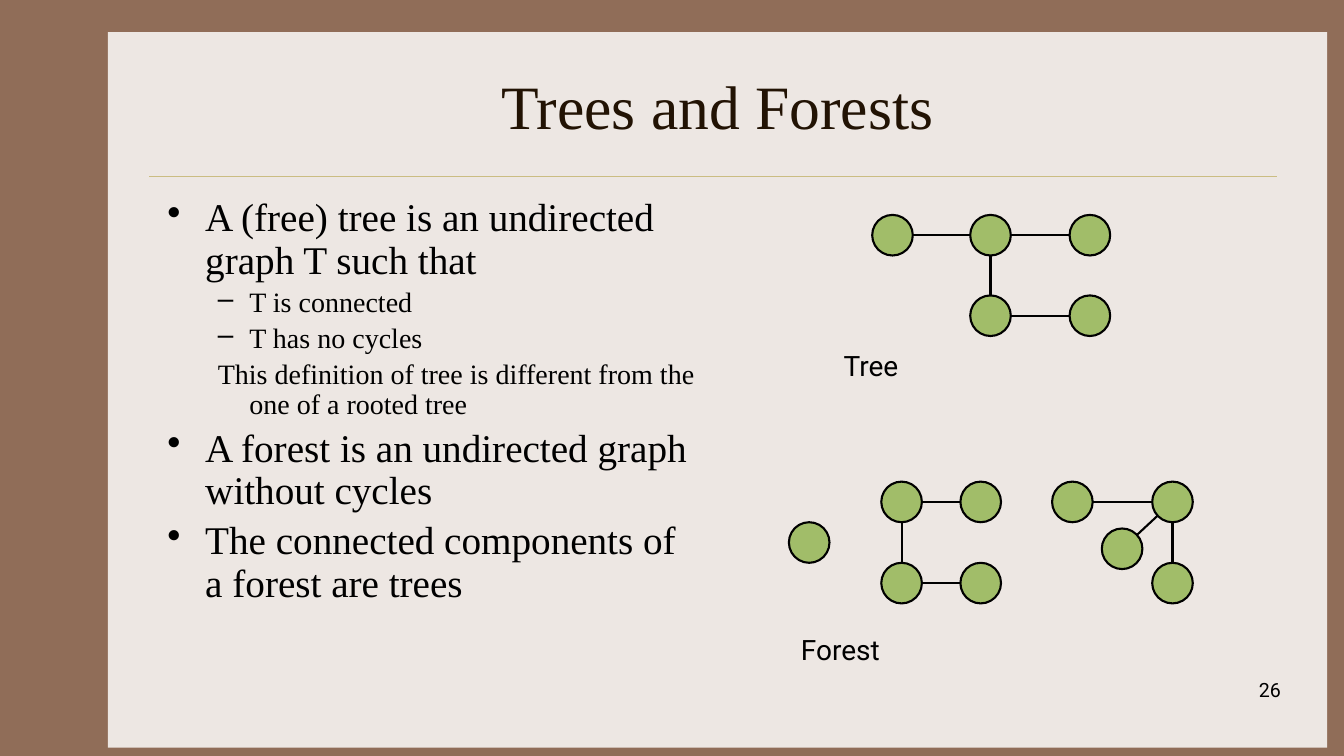
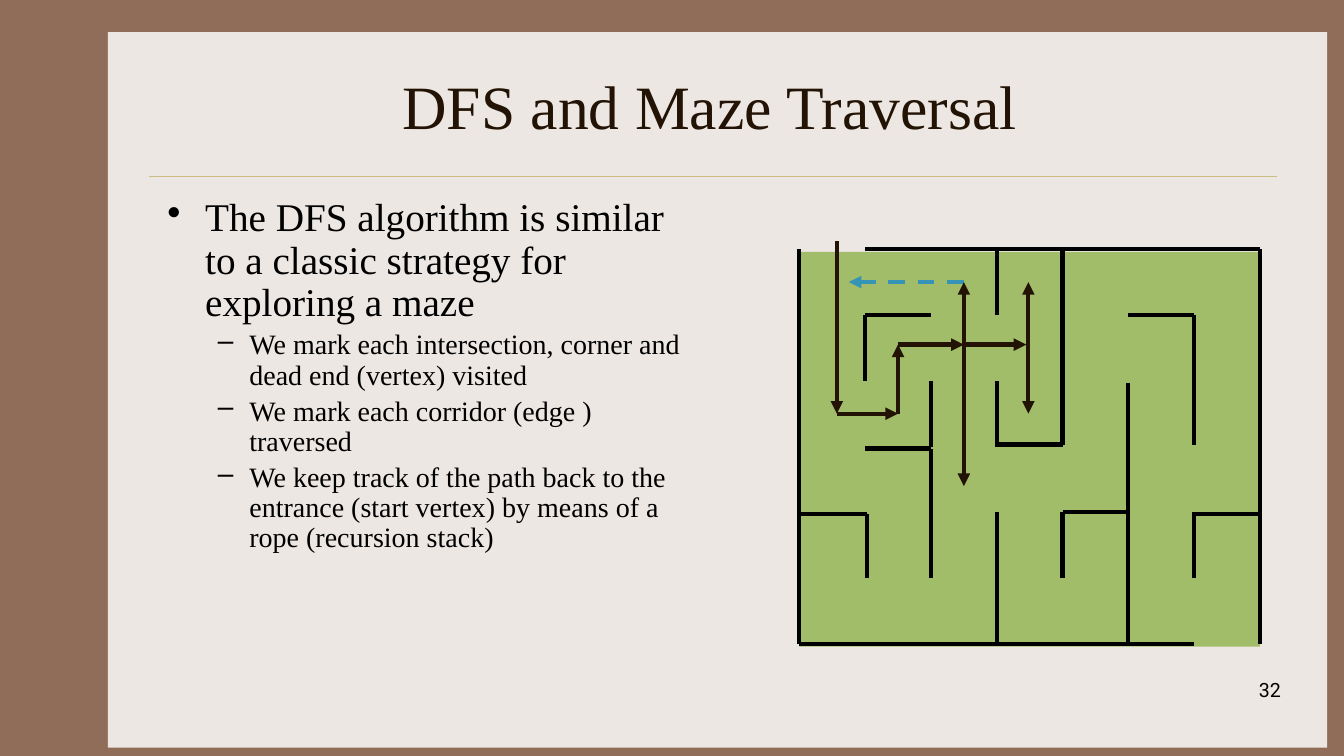
from math import hypot

from lxml.etree import SubElement
from pptx import Presentation
from pptx.dml.color import RGBColor
from pptx.enum.dml import MSO_LINE
from pptx.enum.shapes import MSO_CONNECTOR, MSO_SHAPE
from pptx.enum.text import MSO_ANCHOR, PP_ALIGN
from pptx.oxml.ns import qn
from pptx.util import Pt

BROWN = RGBColor(0x90, 0x6D, 0x58)
PAPER = RGBColor(0xED, 0xE7, 0xE3)
GOLD = RGBColor(0xCB, 0xBD, 0x83)
DARK = RGBColor(0x22, 0x13, 0x04)
GREEN = RGBColor(0xA1, 0xBD, 0x69)
BLUE = RGBColor(0x36, 0x94, 0xB6)
BLACK = RGBColor(0, 0, 0)
SERIF, SANS = "Times New Roman", "Roboto"

# Body text: (style, text)
TREE_TEXT = [
    ("point", "A (free) tree is an undirected graph T such that"),
    ("detail", "T is connected"),
    ("detail", "T has no cycles"),
    ("remark", "This definition of tree is different from the one of a rooted tree"),
    ("point", "A forest is an undirected graph without cycles"),
    ("point", "The connected components of a forest are trees"),
]
MAZE_TEXT = [
    ("point", "The DFS algorithm is similar to a classic strategy for exploring a maze"),
    ("detail", "We mark each intersection, corner and dead end (vertex) visited"),
    ("detail", "We mark each corridor (edge ) traversed"),
    ("detail", "We keep track of the path back to the entrance (start vertex) "
               "by means of a rope (recursion stack)"),
]
# Style: bullet, size, left margin, hanging indent
STYLES = {
    "point": ("•", 28, 27, 27),
    "detail": ("–", 20, 58.5, 22.5),
    "remark": (None, 20, 58.5, 22.5),
}

# Graphs: node centres in points, edges as pairs of node names
GRAPHS = [
    ({"a": (637.5, 168), "b": (707.5, 168), "c": (778.5, 168),
      "d": (707.5, 225.5), "e": (778.5, 225.5)}, ["ab", "bc", "bd", "de"]),
    ({"a": (578, 387.5)}, []),
    ({"a": (644, 358.5), "b": (700.5, 358.5),
      "c": (644, 416.5), "d": (700.5, 416.5)}, ["ab", "ac", "cd"]),
    ({"a": (766, 358.5), "b": (837.5, 358.5),
      "c": (837.5, 416.5), "d": (801.5, 392)}, ["ab", "bc", "bd"]),
]
GRAPH_LABELS = [("Tree", 595.5, 245.5, 225), ("Forest", 565, 448.5, 287)]
NODE_SIZE = 29

# Maze: walls and rope as (column, row, column, row) on a square grid
MAZE_LEFT, MAZE_TOP, CELL = 571, 178, 47
COLUMNS, ROWS = 7, 6
WALLS = [
    (0, 0, 0, 6), (7, 0, 7, 6), (1, 0, 7, 0), (0, 6, 6, 6),
    (1, 1, 1, 2), (1, 1, 2, 1), (3, 0, 3, 1), (4, 0, 4, 2.97),
    (3, 2, 3, 3), (3, 2.97, 4, 2.97), (2, 2, 2, 3), (1, 3.03, 2, 3.03),
    (2, 3.03, 2, 5), (5, 1, 6, 1), (6, 1, 6, 2.97), (5, 2.03, 5, 6),
    (4, 4, 5, 4), (4, 4, 4, 5), (3, 4, 3, 6), (6, 4.03, 7, 4.03),
    (6, 4, 6, 5), (0, 4.03, 1.03, 4.03), (1.03, 4.03, 1.03, 5),
]
ROPE = [
    (0.57, -0.12, 0.57, 2.5), (0.57, 2.5, 1.5, 2.5), (1.5, 2.5, 1.5, 1.45),
    (1.5, 1.45, 2.5, 1.45), (2.5, 1.45, 2.5, 0.5), (2.5, 1.45, 2.5, 3.6),
    (2.5, 1.45, 3.45, 1.45), (3.48, 1.45, 3.48, 0.5), (3.48, 1.45, 3.48, 2.5),
]
WAY_BACK = (2.5, 0.5, 0.75, 0.5)


def add_line(page, ends, color, width, arrow=False, dashed=False):
    line = page.shapes.add_connector(MSO_CONNECTOR.STRAIGHT, *map(Pt, ends))
    line.line.color.rgb = color
    line.line.width = Pt(width)
    if dashed:
        line.line.dash_style = MSO_LINE.DASH
    properties = line._element.spPr
    if arrow:
        SubElement(properties.find(qn("a:ln")), qn("a:tailEnd"), type="triangle")
    SubElement(properties, qn("a:effectLst"))


def add_shape(page, kind, frame, fill, outline=None):
    shape = page.shapes.add_shape(kind, *map(Pt, frame))
    shape.shadow.inherit = False
    shape.fill.solid()
    shape.fill.fore_color.rgb = fill
    if outline is None:
        shape.line.fill.background()
    else:
        shape.line.color.rgb = outline
        shape.line.width = Pt(1.5)


def add_box(page, frame):
    text_frame = page.shapes.add_textbox(*map(Pt, frame)).text_frame
    text_frame.word_wrap = True
    return text_frame


def add_span(para, text, size, font, color=BLACK):
    span = para.add_run()
    span.text = text
    span.font.size = Pt(size)
    span.font.name = font
    span.font.color.rgb = color


def add_text(page, frame, text, size, font, color=BLACK, align=PP_ALIGN.LEFT):
    box = add_box(page, frame)
    box.paragraphs[0].alignment = align
    add_span(box.paragraphs[0], text, size, font, color)
    return box


def add_body(page, items):
    box = add_box(page, (112.5, 138, 391.5, 324))
    for index, (style, text) in enumerate(items):
        bullet, size, margin, hanging = STYLES[style]
        para = box.add_paragraph() if index else box.paragraphs[0]
        para.line_spacing = 0.9
        if index:
            para.space_before = Pt(size * 0.2)
        properties = para._p.get_or_add_pPr()
        properties.set("marL", str(Pt(margin)))
        properties.set("indent", str(-Pt(hanging)))
        if bullet:
            SubElement(properties, qn("a:buChar"), char=bullet)
        add_span(para, text, size, SERIF)


def add_page(deck, title, number, items):
    """Frame, title, rule, page number and body shared by all slides."""
    page = deck.slides.add_slide(deck.slide_layouts[6])
    page.background.fill.solid()
    page.background.fill.fore_color.rgb = BROWN
    add_shape(page, MSO_SHAPE.RECTANGLE, (77, 23, 871, 511), PAPER)
    add_line(page, (106.5, 126, 912, 126), GOLD, 0.25)
    heading = add_text(page, (112.5, 30, 800, 90), title, 44, SERIF, DARK,
                       PP_ALIGN.CENTER)
    heading.vertical_anchor = MSO_ANCHOR.MIDDLE
    add_body(page, items)
    add_text(page, (722, 481, 200, 36), number, 14, SANS, align=PP_ALIGN.RIGHT)
    return page


def add_graph(page, nodes, edges):
    radius = NODE_SIZE / 2
    for x, y in nodes.values():
        add_shape(page, MSO_SHAPE.OVAL,
                  (x - radius, y - radius, NODE_SIZE, NODE_SIZE), GREEN, BLACK)
    # Edges run from rim to rim
    for start, end in edges:
        (x1, y1), (x2, y2) = nodes[start], nodes[end]
        share = radius / hypot(x2 - x1, y2 - y1)
        dx, dy = (x2 - x1) * share, (y2 - y1) * share
        add_line(page, (x1 + dx, y1 + dy, x2 - dx, y2 - dy), BLACK, 1.5)


def on_grid(segment):
    c1, r1, c2, r2 = segment
    return (MAZE_LEFT + c1 * CELL, MAZE_TOP + r1 * CELL,
            MAZE_LEFT + c2 * CELL, MAZE_TOP + r2 * CELL)


def add_maze(page):
    add_shape(page, MSO_SHAPE.RECTANGLE,
              (MAZE_LEFT, MAZE_TOP + 2, COLUMNS * CELL, ROWS * CELL), GREEN)
    for wall in WALLS:
        add_line(page, on_grid(wall), BLACK, 3)
    add_line(page, on_grid(WAY_BACK), BLUE, 3, arrow=True, dashed=True)
    for step in ROPE:
        add_line(page, on_grid(step), DARK, 3, arrow=True)


def main():
    deck = Presentation()
    deck.slide_width, deck.slide_height = Pt(960), Pt(540)

    # Trees and forests
    page = add_page(deck, "Trees and Forests", "26", TREE_TEXT)
    for text, left, top, width in GRAPH_LABELS:
        add_text(page, (left, top, width, 31), text, 20, SANS)
    for nodes, edges in GRAPHS:
        add_graph(page, nodes, edges)

    # Maze traversal
    page = add_page(deck, "DFS and Maze Traversal ", "32", MAZE_TEXT)
    add_maze(page)

    deck.save("out.pptx")


if __name__ == "__main__":
    main()
